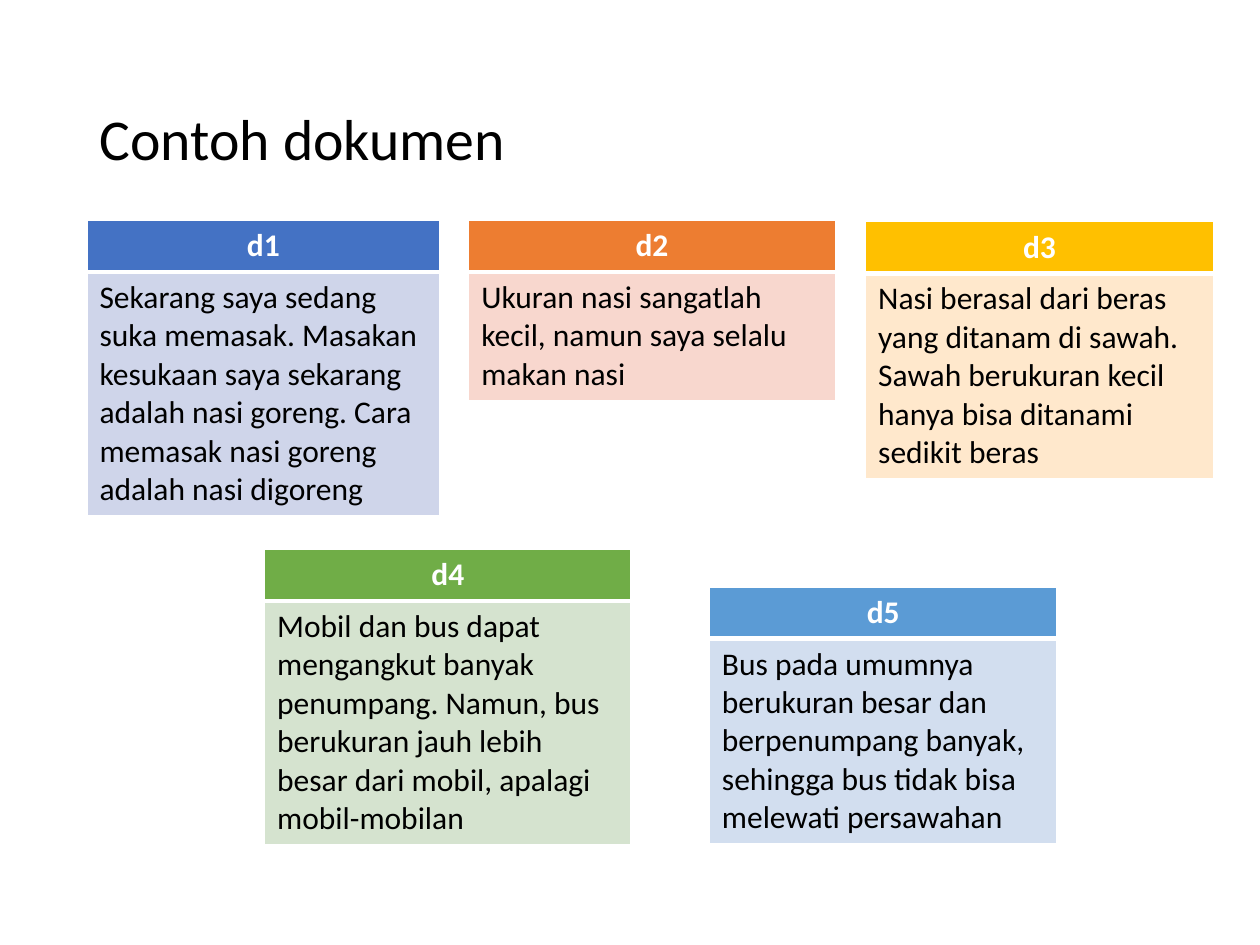
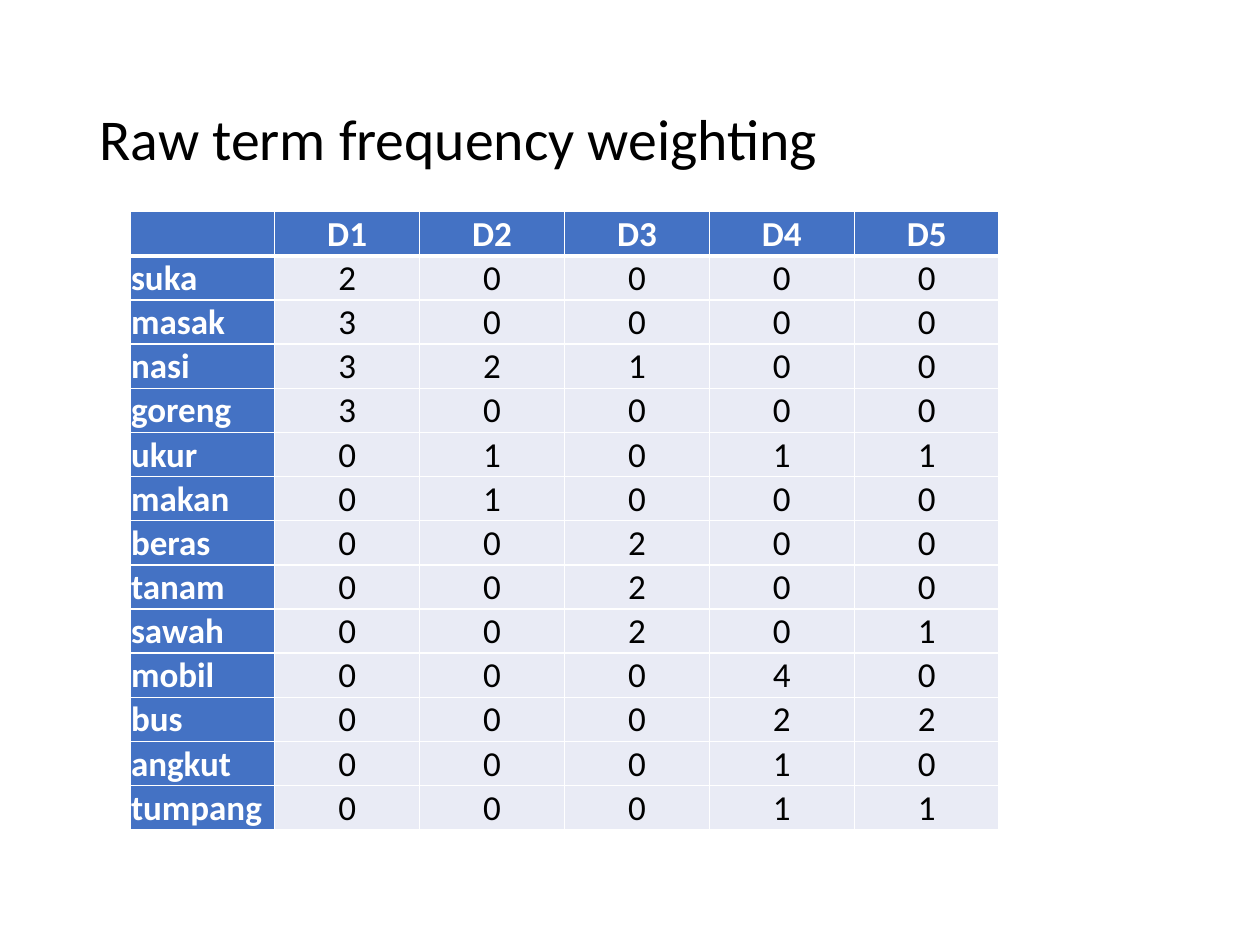
import dataclasses

import pptx
import pptx.dml.color
import pptx.enum.text
import pptx.oxml
import pptx.oxml.ns
import pptx.util

Inches = pptx.util.Inches
Pt = pptx.util.Pt
ALIGN = pptx.enum.text.PP_ALIGN
ANCHOR = pptx.enum.text.MSO_ANCHOR


@dataclasses.dataclass(frozen=True)
class Theme:
    """Colours, font, type sizes and rule widths shared by the slides."""

    font: str = "Calibri"
    ink: str = "000000"
    white: str = "FFFFFF"
    header: str = "4472C4"
    cell: str = "E9EBF5"
    title_size: int = 33
    card_size: int = 18
    grid_size: int = 20
    thin: int = 1
    thick: int = 3


THEME = Theme()

DOCUMENTS = [
    ("d1", 0.69, 1.75, 2.8, 1.93, "4472C4", "CFD5EA",
     "Sekarang saya sedang suka memasak. Masakan kesukaan saya sekarang "
     "adalah nasi goreng. Cara memasak nasi goreng adalah nasi digoreng"),
    ("d2", 3.72, 1.75, 2.91, 1.02, "ED7D31", "F8D7CE",
     "Ukuran nasi sangatlah kecil, namun saya selalu makan nasi"),
    ("d3", 6.87, 1.76, 2.76, 1.62, "FFC000", "FFE8CC",
     "Nasi berasal dari beras yang ditanam di sawah. Sawah berukuran kecil "
     "hanya bisa ditanami sedikit beras"),
    ("d4", 2.1, 4.36, 2.91, 1.93, "70AD47", "D5E3CF",
     "Mobil dan bus dapat mengangkut banyak penumpang. Namun, bus berukuran "
     "jauh lebih besar dari mobil, apalagi mobil-mobilan"),
    ("d5", 5.63, 4.66, 2.76, 1.62, "5B9BD5", "D2DEEF",
     "Bus pada umumnya berukuran besar dan berpenumpang banyak, sehingga "
     "bus tidak bisa melewati persawahan"),
]

FREQUENCIES = {
    "suka": (2, 0, 0, 0, 0),
    "masak": (3, 0, 0, 0, 0),
    "nasi": (3, 2, 1, 0, 0),
    "goreng": (3, 0, 0, 0, 0),
    "ukur": (0, 1, 0, 1, 1),
    "makan": (0, 1, 0, 0, 0),
    "beras": (0, 0, 2, 0, 0),
    "tanam": (0, 0, 2, 0, 0),
    "sawah": (0, 0, 2, 0, 1),
    "mobil": (0, 0, 0, 4, 0),
    "bus": (0, 0, 0, 2, 2),
    "angkut": (0, 0, 0, 1, 0),
    "tumpang": (0, 0, 0, 1, 1),
}


def rgb(value):
    """Return a colour object for a hex string."""
    return pptx.dml.color.RGBColor.from_string(value)


def add_run(p, text, size, color, bold=False):
    """Append a formatted run to a paragraph."""
    r = p.add_run()
    r.text = text
    r.font.name = THEME.font
    r.font.size = Pt(size)
    r.font.bold = bold
    r.font.color.rgb = rgb(color)


def add_titled_slide(prs, title):
    """Add a title-only slide and format its title."""
    s = prs.slides.add_slide(prs.slide_layouts[5])
    sp = s.shapes.title
    sp.left, sp.top = Inches(0.69), Inches(0.4)
    sp.width, sp.height = Inches(8.62), Inches(1.45)
    tf = sp.text_frame
    tf.auto_size = pptx.enum.text.MSO_AUTO_SIZE.NONE
    tf.vertical_anchor = ANCHOR.MIDDLE
    p = tf.paragraphs[0]
    p.alignment = ALIGN.LEFT
    p.line_spacing = 0.9
    add_run(p, title, THEME.title_size, THEME.ink)
    return s


def add_plain_table(s, left, top, widths, heights):
    """Add an unbanded table with the given column widths and row heights."""
    frame = s.shapes.add_table(
        len(heights), len(widths), Inches(left), Inches(top),
        Inches(sum(widths)), Inches(sum(heights)))
    table = frame.table
    table.horz_banding = False
    for column, width in zip(table.columns, widths):
        column.width = Inches(width)
    for row, height in zip(table.rows, heights):
        row.height = Inches(height)
    return table


def set_borders(cell, row):
    """Draw white cell borders, thick between the header and the body."""
    widths = {
        "lnL": THEME.thin,
        "lnR": THEME.thin,
        "lnT": THEME.thick if row == 1 else THEME.thin,
        "lnB": THEME.thick if row == 0 else THEME.thin,
    }
    tc_pr = cell._tc.get_or_add_tcPr()
    for tag, width in widths.items():
        tc_pr.append(pptx.oxml.parse_xml(
            f'<a:{tag} {pptx.oxml.ns.nsdecls("a")} w="{Pt(width)}">'
            f'<a:solidFill><a:srgbClr val="{THEME.white}"/></a:solidFill>'
            f'</a:{tag}>'))


def fill_cell(table, row, col, text, size, fill, heading, align):
    """Fill, border and label one table cell."""
    cell = table.cell(row, col)
    set_borders(cell, row)
    cell.fill.solid()
    cell.fill.fore_color.rgb = rgb(fill)
    p = cell.text_frame.paragraphs[0]
    p.alignment = align
    if text:
        add_run(p, text, size, THEME.white if heading else THEME.ink, heading)
    return cell


def add_document_card(s, name, left, top, width, body_height, dark, light, text):
    """Add a two-row table holding a document's name and text."""
    table = add_plain_table(s, left, top, [width], [0.41, body_height])
    fill_cell(table, 0, 0, name, THEME.card_size, dark, True, ALIGN.CENTER)
    fill_cell(table, 1, 0, text, THEME.card_size, light, False, ALIGN.LEFT)


def add_frequency_table(s, frequencies):
    """Add the table of term counts per document."""
    rows = [("", "D1", "D2", "D3", "D4", "D5")]
    rows += [(term, *counts) for term, counts in frequencies.items()]
    table = add_plain_table(s, 1.03, 1.68, [1.15] * 6, [0.35] * len(rows))
    for i, values in enumerate(rows):
        for j, value in enumerate(values):
            heading = i == 0 or j == 0
            cell = fill_cell(
                table, i, j, str(value), THEME.grid_size,
                THEME.header if heading else THEME.cell, heading,
                ALIGN.CENTER if j else ALIGN.LEFT)
            cell.vertical_anchor = ANCHOR.BOTTOM
            cell.margin_left = cell.margin_right = Inches(0.01)
            cell.margin_top, cell.margin_bottom = Inches(0.01), 0


def main():
    """Build the two slides and save them."""
    prs = pptx.Presentation()
    prs.slide_width, prs.slide_height = Inches(10), Inches(7.5)
    s = add_titled_slide(prs, "Contoh dokumen")
    for document in DOCUMENTS:
        add_document_card(s, *document)
    s = add_titled_slide(prs, "Raw term frequency weighting")
    add_frequency_table(s, FREQUENCIES)
    prs.save("out.pptx")


if __name__ == "__main__":
    main()
